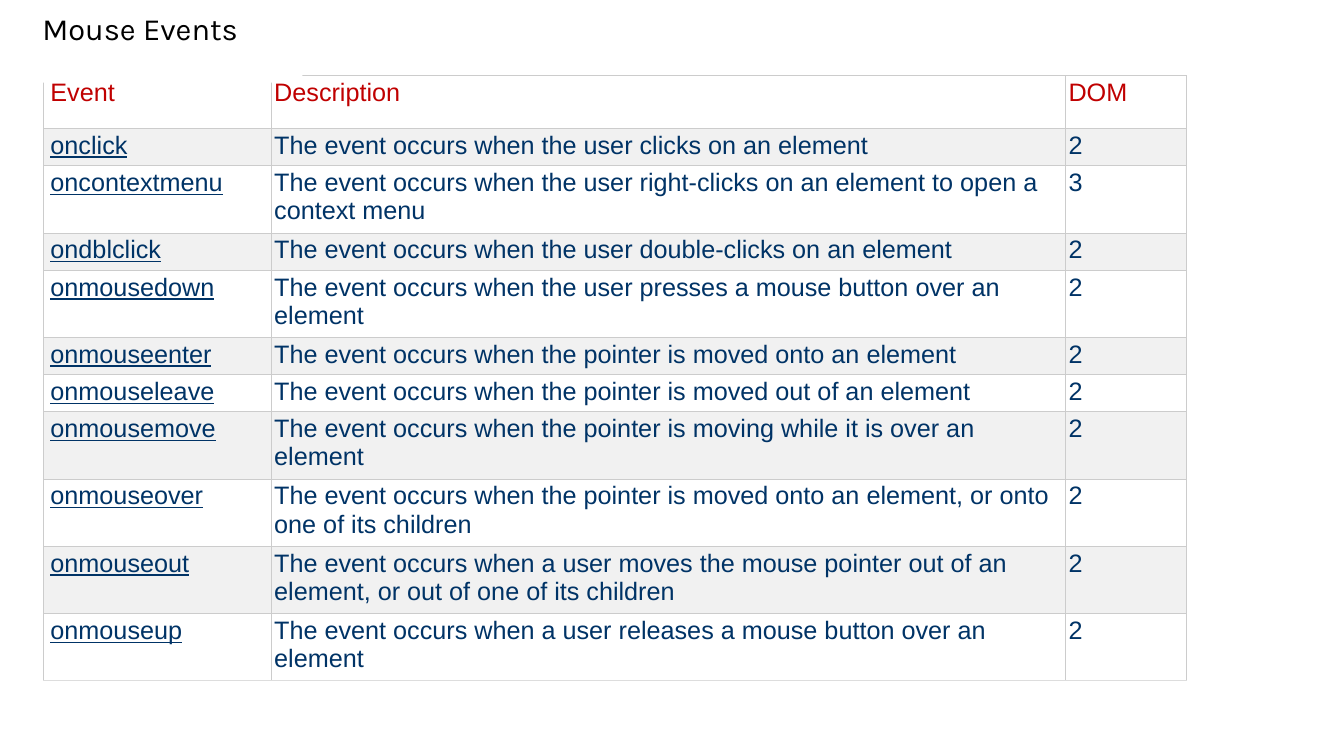
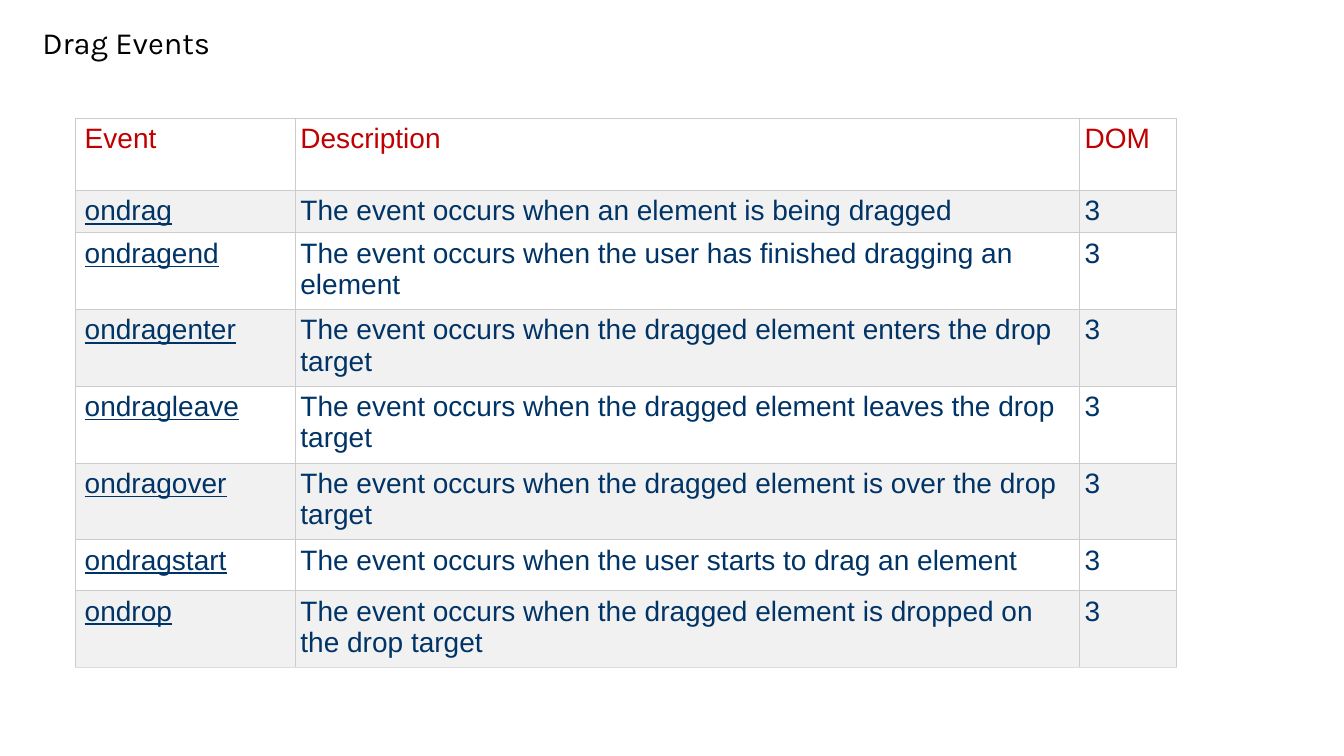
from lxml.etree import SubElement
from pptx import Presentation
from pptx.dml.color import RGBColor
from pptx.enum.text import MSO_ANCHOR, MSO_AUTO_SIZE, PP_ALIGN
from pptx.oxml.ns import qn
from pptx.util import Inches, Pt

BLACK = RGBColor(0x00, 0x00, 0x00)
WHITE = RGBColor(0xFF, 0xFF, 0xFF)
NAVY = RGBColor(0x00, 0x33, 0x66)
RED = RGBColor(0xC0, 0x00, 0x00)
BAND = RGBColor(0xF1, 0xF1, 0xF1)
RULE = RGBColor(0xCC, 0xCC, 0xCC)
BASE = RGBColor(0xDD, 0xDD, 0xDD)

WIDE = Inches(13.33)
HIGH = Inches(7.5)
HEADS = ("Event", "Description", "DOM")
LEAD = "The event occurs when "

MOUSE = [
    ("onclick", "the user clicks on an element", "2"),
    ("oncontextmenu", "the user right-clicks on an element to open a context menu", "3"),
    ("ondblclick", "the user double-clicks on an element", "2"),
    ("onmousedown", "the user presses a mouse button over an element", "2"),
    ("onmouseenter", "the pointer is moved onto an element", "2"),
    ("onmouseleave", "the pointer is moved out of an element", "2"),
    ("onmousemove", "the pointer is moving while it is over an element", "2"),
    ("onmouseover", "the pointer is moved onto an element, or onto one of its children", "2"),
    ("onmouseout", "a user moves the mouse pointer out of an element, "
                   "or out of one of its children", "2"),
    ("onmouseup", "a user releases a mouse button over an element", "2"),
]
DRAG = [
    ("ondrag", "an element is being dragged", "3"),
    ("ondragend", "the user has finished dragging an element", "3"),
    ("ondragenter", "the dragged element enters the drop target", "3"),
    ("ondragleave", "the dragged element leaves the drop target", "3"),
    ("ondragover", "the dragged element is over the drop target", "3"),
    ("ondragstart", "the user starts to drag an element", "3"),
    ("ondrop", "the dragged element is dropped on the drop target", "3"),
]


def across(share):
    """Turn a percentage of the slide's width into a length."""
    return int(WIDE * share / 100)


def down(share):
    """Turn a percentage of the slide's height into a length."""
    return int(HIGH * share / 100)


def put(frame, text, size=18, font="Arial", color=NAVY, under=False):
    """Write formatted, left-aligned text into a text frame."""
    line = frame.paragraphs[0]
    line.alignment = PP_ALIGN.LEFT
    run = line.add_run()
    run.text = text
    run.font.size = Pt(size)
    run.font.name = font
    run.font.color.rgb = color
    run.font.underline = under


def edge(cell, last):
    """Draw thin borders on all four sides of a cell."""
    props = cell._tc.get_or_add_tcPr()
    for spot, side in enumerate(("lnL", "lnR", "lnT", "lnB")):
        line = props.makeelement(qn("a:" + side), {"w": str(Pt(0.6))})
        fill = SubElement(line, qn("a:solidFill"))
        tone = BASE if last and side == "lnB" else RULE
        SubElement(fill, qn("a:srgbClr"), val=str(tone))
        props.insert(spot, line)


def head(slide, text, top, width):
    """Place the slide's title in front of its table."""
    title = slide.shapes.title
    title.left, title.top = across(3.15), down(top)
    title.width, title.height = across(width), down(10.8)
    title.fill.solid()
    title.fill.fore_color.rgb = WHITE
    frame = title.text_frame
    frame.word_wrap = True
    frame.auto_size = MSO_AUTO_SIZE.NONE
    frame.vertical_anchor = MSO_ANCHOR.TOP
    frame.margin_left = frame.margin_right = 0
    frame.margin_top = Inches(0.09)
    put(frame, text, size=22, font="Karla", color=BLACK)
    title.element.getparent().append(title.element)


def grid(slide, events, left, top, cols, rows, size, pad, inset):
    """Add a banded table of events and their descriptions."""
    lines = [HEADS] + [(name, LEAD + text, dom) for name, text, dom in events]
    frame = slide.shapes.add_table(
        len(lines), len(cols), across(left), down(top),
        across(sum(cols)), down(sum(rows)))
    table = frame.table
    table.first_row = table.horz_banding = False
    for col, share in zip(table.columns, cols):
        col.width = across(share)
    for row, share in zip(table.rows, rows):
        row.height = down(share)
    for i, line in enumerate(lines):
        for j, text in enumerate(line):
            cell = table.cell(i, j)
            cell.margin_top = cell.margin_right = cell.margin_bottom = Inches(pad)
            cell.margin_left = Inches(pad if j else inset)
            cell.fill.solid()
            cell.fill.fore_color.rgb = BAND if i % 2 else WHITE
            put(cell.text_frame, text, size=size, color=NAVY if i else RED,
                under=i > 0 and j == 0)
            edge(cell, i == len(lines) - 1)


def main():
    """Build and save both slides."""
    deck = Presentation()
    deck.slide_width, deck.slide_height = WIDE, HIGH
    plain = deck.slide_layouts[5]

    slide = deck.slides.add_slide(plain)
    one, two = 4.92, 8.9
    grid(slide, MOUSE, left=3.23, top=10, cols=(16.95, 59.1, 9),
         rows=(7, one, two, one, two, one, one, two, two, two, two),
         size=18, pad=0.03, inset=0.07)
    head(slide, "Mouse Events", top=0.13, width=19.35)

    slide = deck.slides.add_slide(plain)
    one, two = 5.6, 10.15
    grid(slide, DRAG, left=5.63, top=15.6, cols=(16.35, 58.35, 7.2),
         rows=(9.6, one, two, two, two, two, 6.75, two),
         size=20, pad=0.05, inset=0.09)
    head(slide, "Drag Events", top=1.87, width=30.45)

    deck.save("out.pptx")


main()
